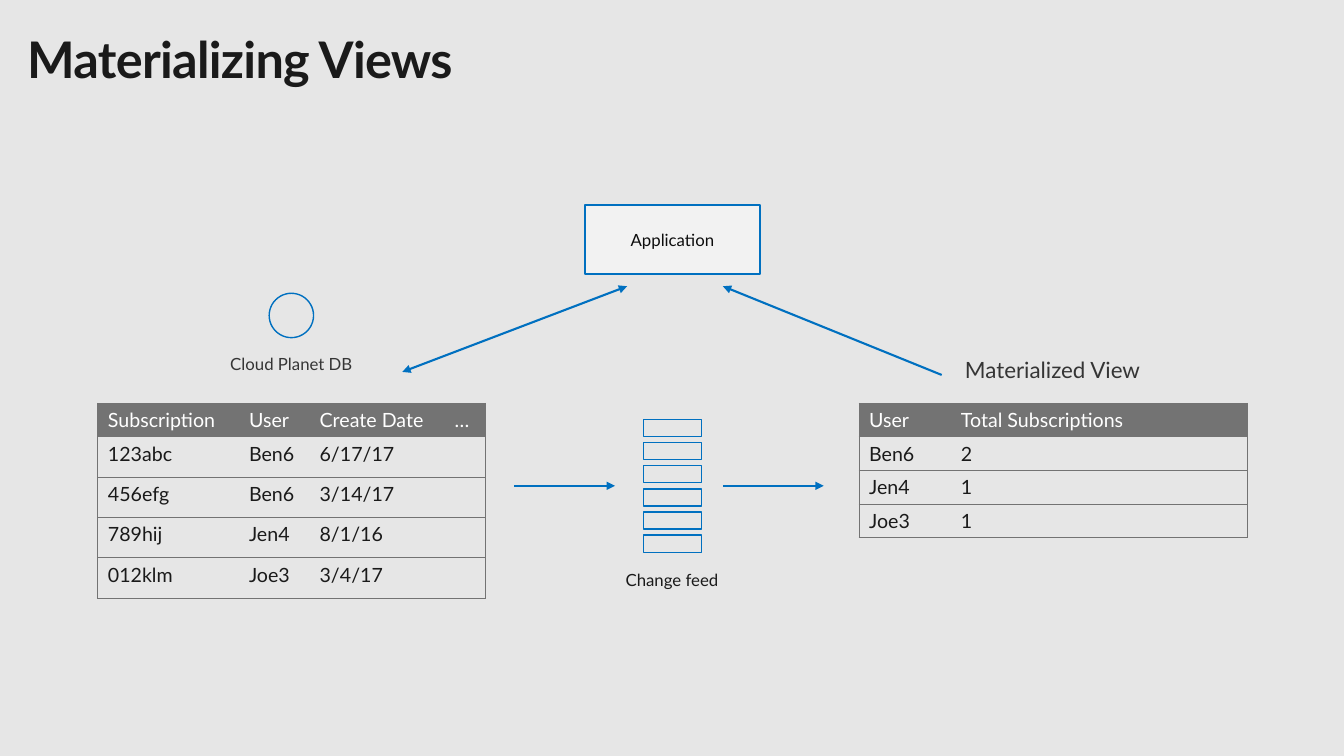
"""Build the Materializing Views slide."""
from pptx import Presentation
from pptx.dml.color import RGBColor
from pptx.enum.shapes import MSO_CONNECTOR as Connector, MSO_SHAPE as Preset
from pptx.enum.text import MSO_ANCHOR as Anchor, PP_ALIGN as Align
from pptx.oxml.ns import qn
from pptx.util import Inches, Pt
from lxml.etree import SubElement

FONT = "Lato"
BACKGROUND = RGBColor(0xE6, 0xE6, 0xE6)
BLUE = RGBColor(0x00, 0x70, 0xC0)
GRAY = RGBColor(0x73, 0x73, 0x73)
PANEL = RGBColor(0xF2, 0xF2, 0xF2)
WHITE = RGBColor(0xFF, 0xFF, 0xFF)
DARK = RGBColor(0x1A, 0x1A, 0x1A)
BLACK = RGBColor(0x0D, 0x0D, 0x0D)
LABEL = RGBColor(0x35, 0x35, 0x35)


def write(text_frame, text, size, color, bold=False):
    """Put one formatted run in a text frame and return its paragraph."""
    text_frame.text = text
    paragraph = text_frame.paragraphs[0]
    font = paragraph.runs[0].font
    font.name, font.size, font.bold = FONT, Pt(size), bold
    font.color.rgb = color
    return paragraph


def add_text(slide, text, box, size, color, insets=(0.1, 0.05), bold=False):
    """Add a wrapped text box and return its paragraph."""
    text_frame = slide.shapes.add_textbox(*map(Inches, box)).text_frame
    text_frame.word_wrap = True
    text_frame.margin_left = text_frame.margin_right = Inches(insets[0])
    text_frame.margin_top = text_frame.margin_bottom = Inches(insets[1])
    return write(text_frame, text, size, color, bold)


def add_label(slide, text, box, size):
    """Add a centred heading above a table."""
    paragraph = add_text(slide, text, box, size, LABEL, (0.2, 0.16))
    paragraph.alignment = Align.CENTER
    paragraph.line_spacing = 0.9
    paragraph.space_after = Pt(5.9)


def add_outline(slide, preset, box, width):
    """Add an unfilled blue outlined shape."""
    shape = slide.shapes.add_shape(preset, *map(Inches, box))
    shape.shadow.inherit = False
    shape.fill.background()
    shape.line.color.rgb = BLUE
    shape.line.width = Pt(width)
    return shape


def add_arrow(slide, start, end, ends=("tailEnd",)):
    """Add a blue line with triangular arrowheads at the named ends."""
    connector = slide.shapes.add_connector(
        Connector.STRAIGHT, *map(Inches, start + end))
    connector.line.color.rgb = BLUE
    connector.line.width = Pt(1.5)
    properties = connector.element.spPr
    line = properties.find(qn("a:ln"))
    for name in ends:
        SubElement(line, qn(f"a:{name}"), type="triangle")
    SubElement(properties, qn("a:effectLst"))


def set_borders(cell, visible):
    """Draw the visible sides of a cell and clear the others."""
    properties = cell._tc.get_or_add_tcPr()
    for side in "LRTB":
        line = SubElement(properties, qn(f"a:ln{side}"), w=str(Pt(0.75)))
        if side in visible:
            fill = SubElement(line, qn("a:solidFill"))
            SubElement(fill, qn("a:srgbClr"), val=str(GRAY))
        else:
            SubElement(line, qn("a:noFill"))


def add_records(slide, left, top, widths, heights, rows):
    """Add a table with a gray header and ruled rows."""
    frame = slide.shapes.add_table(
        len(rows), len(widths), Inches(left), Inches(top),
        Inches(sum(widths)), Inches(sum(heights)))
    table = frame.table
    table.first_row = table.horz_banding = False
    for column, width in zip(table.columns, widths):
        column.width = Inches(width)
    for row, height in zip(table.rows, heights):
        row.height = Inches(height)
    last = len(widths) - 1
    for i, values in enumerate(rows):
        for j, value in enumerate(values):
            cell = table.cell(i, j)
            set_borders(cell, "TB" + "L" * (j == 0) + "R" * (j == last))
            if i == 0:
                cell.fill.solid()
                cell.fill.fore_color.rgb = GRAY
            else:
                cell.fill.background()
            if value:
                write(cell.text_frame, value, 14, DARK if i else WHITE)


def add_application(slide):
    """Add the application box."""
    shape = add_outline(slide, Preset.RECTANGLE, (5.8, 2.03, 1.74, 0.69), 1.5)
    shape.fill.solid()
    shape.fill.fore_color.rgb = PANEL
    shape.text_frame.vertical_anchor = Anchor.MIDDLE
    paragraph = write(shape.text_frame, "Application", 12, BLACK)
    paragraph.alignment = Align.CENTER


def add_change_feed(slide):
    """Add the stack of feed entries and its caption."""
    for i in range(6):
        add_outline(slide, Preset.RECTANGLE,
                    (6.38, 4.16 + 0.23 * i, 0.58, 0.17), 1)
    paragraph = add_text(slide, "Change feed", (6.04, 5.6, 1.25, 0.3), 12, DARK)
    paragraph.alignment = Align.CENTER


def main():
    """Build and save the slide."""
    presentation = Presentation()
    presentation.slide_width = Inches(13.33)
    presentation.slide_height = Inches(7.5)
    slide = presentation.slides.add_slide(presentation.slide_layouts[6])
    slide.background.fill.solid()
    slide.background.fill.fore_color.rgb = BACKGROUND

    title = add_text(slide, "Materializing Views", (0.27, 0.28, 6.5, 0.61),
                     36, DARK, (0, 0), True)
    title.runs[0]._r.get_or_add_rPr().set("spc", "-50")

    add_records(slide, 0.97, 4, (1.4, 0.7, 1.34, 0.41),
                (0.33,) + (0.365,) * 4, (
                    ("Subscription", "User", "Create Date", "…"),
                    ("123abc", "Ben6", "6/17/17", ""),
                    ("456efg", "Ben6", "3/14/17", ""),
                    ("789hij", "Jen4", "8/1/16", ""),
                    ("012klm", "Joe3", "3/4/17", "")))
    add_records(slide, 8.52, 4, (0.91, 2.94), (0.33,) * 4, (
        ("User", "Total Subscriptions"),
        ("Ben6", "2"), ("Jen4", "1"), ("Joe3", "1")))

    add_application(slide)
    add_label(slide, "Cloud Planet DB", (1.79, 3.44, 2.2, 0.5), 12)
    add_label(slide, "Materialized View", (9.34, 3.44, 2.2, 0.56), 16)
    add_outline(slide, Preset.OVAL, (2.67, 2.91, 0.44, 0.44), 1)
    add_change_feed(slide)

    add_arrow(slide, (6.22, 2.84), (3.99, 3.69), ("headEnd", "tailEnd"))
    add_arrow(slide, (9.34, 3.72), (7.17, 2.84))
    for left in (5.1, 7.17):
        add_arrow(slide, (left, 4.82), (left + 1, 4.82))

    presentation.save("out.pptx")


if __name__ == "__main__":
    main()
